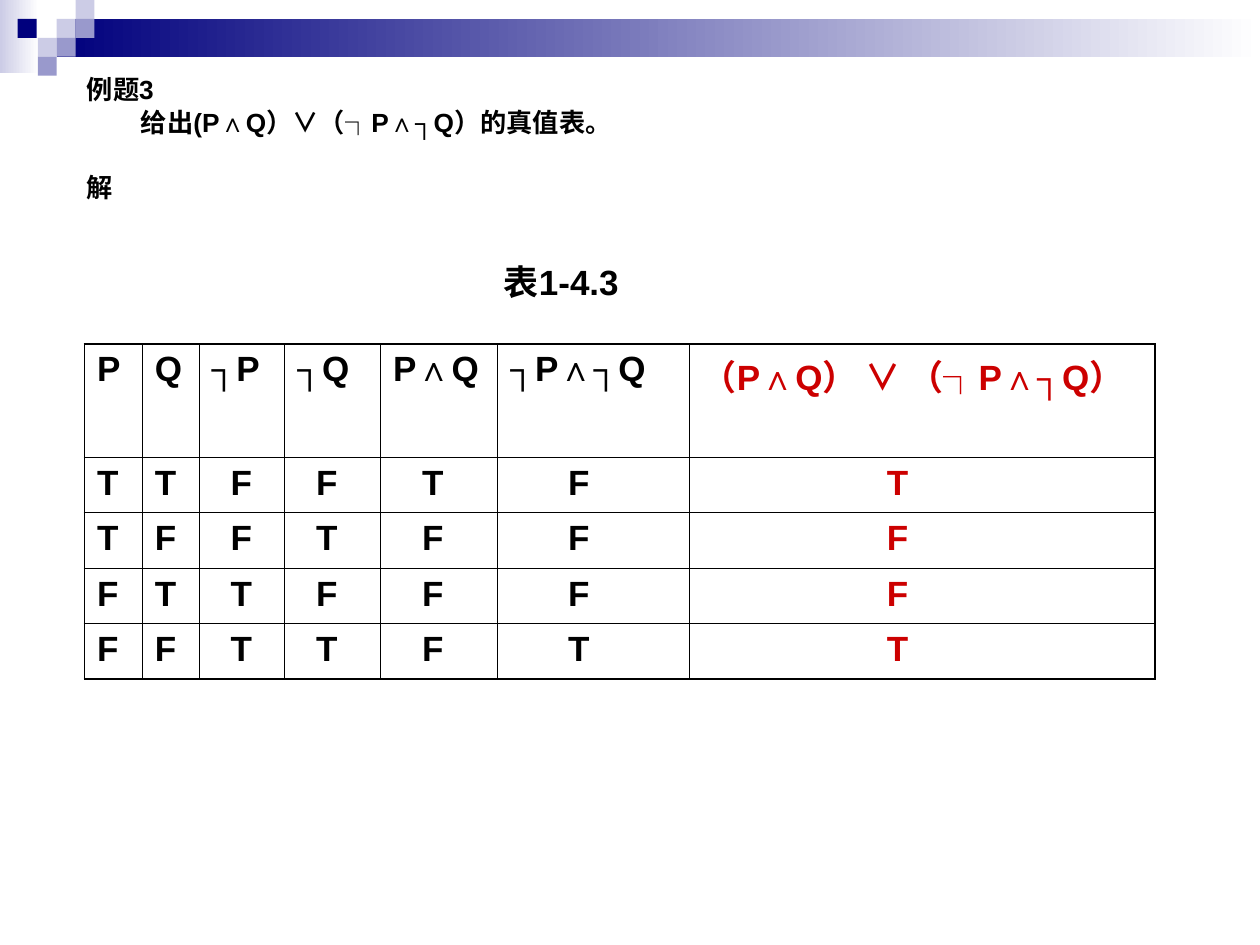
from lxml import etree
from pptx import Presentation
from pptx.dml.color import RGBColor
from pptx.enum.shapes import MSO_SHAPE as Shape
from pptx.oxml.ns import qn
from pptx.util import Inches, Pt

COLORS = {"navy": "00007D", "violet": "9999CC", "lilac": "CCCCE6",
          "white": "FFFFFF", "black": "000000", "red": "CC0000"}

prs = Presentation()
prs.slide_width, prs.slide_height = Inches(10), Inches(7.5)
slide = prs.slides.add_slide(prs.slide_layouts[6])


def add_block(left, top, width, height, *colors):
    """Draw a borderless rectangle; two colours make a left-to-right gradient."""
    block = slide.shapes.add_shape(
        Shape.RECTANGLE, Inches(left), Inches(top), Inches(width), Inches(height))
    block.shadow.inherit = False
    block.line.fill.background()
    if len(colors) == 1:
        block.fill.solid()
        block.fill.fore_color.rgb = RGBColor.from_string(COLORS[colors[0]])
        return
    block.fill.gradient()
    block.fill.gradient_angle = 0
    for stop, position, color in zip(block.fill.gradient_stops, (0, 1), colors):
        stop.position = position
        stop.color.rgb = RGBColor.from_string(COLORS[color])


def style(paragraph, size, color="black"):
    font = paragraph.font
    font.name, font.size, font.bold = "Arial", Pt(size), True
    font.color.rgb = RGBColor.from_string(COLORS[color])


# Header band and its small squares
add_block(0, 0, 0.31, 0.58, "lilac", "white")
add_block(0.45, 0.15, 9.55, 0.3, "navy", "white")
for left, top, color in [(0.45, 0.15, "lilac"), (0.6, 0, "lilac"),
                         (0.6, 0.15, "violet"), (0.3, 0.3, "lilac"),
                         (0.14, 0.15, "navy"), (0.45, 0.3, "violet"),
                         (0.3, 0.45, "violet")]:
    add_block(left, top, 0.15, 0.15, color)

# Problem statement: text, left indent in inches, space before in points
problem = slide.shapes.add_textbox(
    Inches(0.59), Inches(0.6), Inches(9.15), Inches(1.42)).text_frame
problem.word_wrap = True
statement = [("例题3", 0, 0),
             ("给出(P∧Q）∨（┐P∧┐Q）的真值表。", 0.43, 6),
             ("解", 0, 24.7)]
for i, (text, indent, space) in enumerate(statement):
    line = problem.paragraphs[0] if i == 0 else problem.add_paragraph()
    line.text = text
    line.line_spacing = 0.7
    line.space_before = Pt(space)
    line._p.get_or_add_pPr().set("marL", str(Inches(indent)))
    style(line, 15)

# Truth table: the indents set the values in under their headings
headings = ["P", "Q", "┐P", "┐Q", "P∧Q", "┐P∧┐Q", "（P∧Q） ∨ （┐P∧┐Q）"]
rows = [headings, "TTFFTFT", "TFFTFFF", "FTTFFFF", "FFTTFTT"]
widths = [0.46, 0.45, 0.68, 0.76, 0.93, 1.52, 3.7]
indents = [0, 0, 0.15, 0.15, 0.23, 0.46, 1.47]
heights = [0.9] + [0.44] * 4  # the header holds two lines
last_row, last_col = len(rows) - 1, len(widths) - 1

truth = slide.shapes.add_table(
    len(rows), len(widths), Inches(0.67), Inches(2.73),
    Inches(sum(widths)), Inches(sum(heights))).table
truth.first_row = truth.horz_banding = False
for column, width in zip(truth.columns, widths):
    column.width = Inches(width)
for row, height in zip(truth.rows, heights):
    row.height = Inches(height)

for r, values in enumerate(rows):
    for c, value in enumerate(values):
        cell = truth.cell(r, c)
        cell.text = value
        cell.margin_left = Inches(0.1 + (indents[c] if r else 0))
        style(cell.text_frame.paragraphs[0], 20, "red" if c == last_col else "black")
        # Borders: heavier around the outside
        cell_props = cell._tc.get_or_add_tcPr()
        for side, outer in [("L", c == 0), ("R", c == last_col),
                            ("T", r == 0), ("B", r == last_row)]:
            border = etree.SubElement(cell_props, qn(f"a:ln{side}"),
                                      w=str(Pt(1.08 if outer else 0.45)))
            paint = etree.SubElement(border, qn("a:solidFill"))
            etree.SubElement(paint, qn("a:srgbClr"), val=COLORS["black"])
        cell.fill.background()

# Table caption
caption = slide.shapes.add_textbox(
    Inches(3.9), Inches(2.02), Inches(3.62), Inches(0.44)).text_frame
caption.word_wrap = True
caption.text = "表1-4.3"
style(caption.paragraphs[0], 20)

prs.save("out.pptx")
